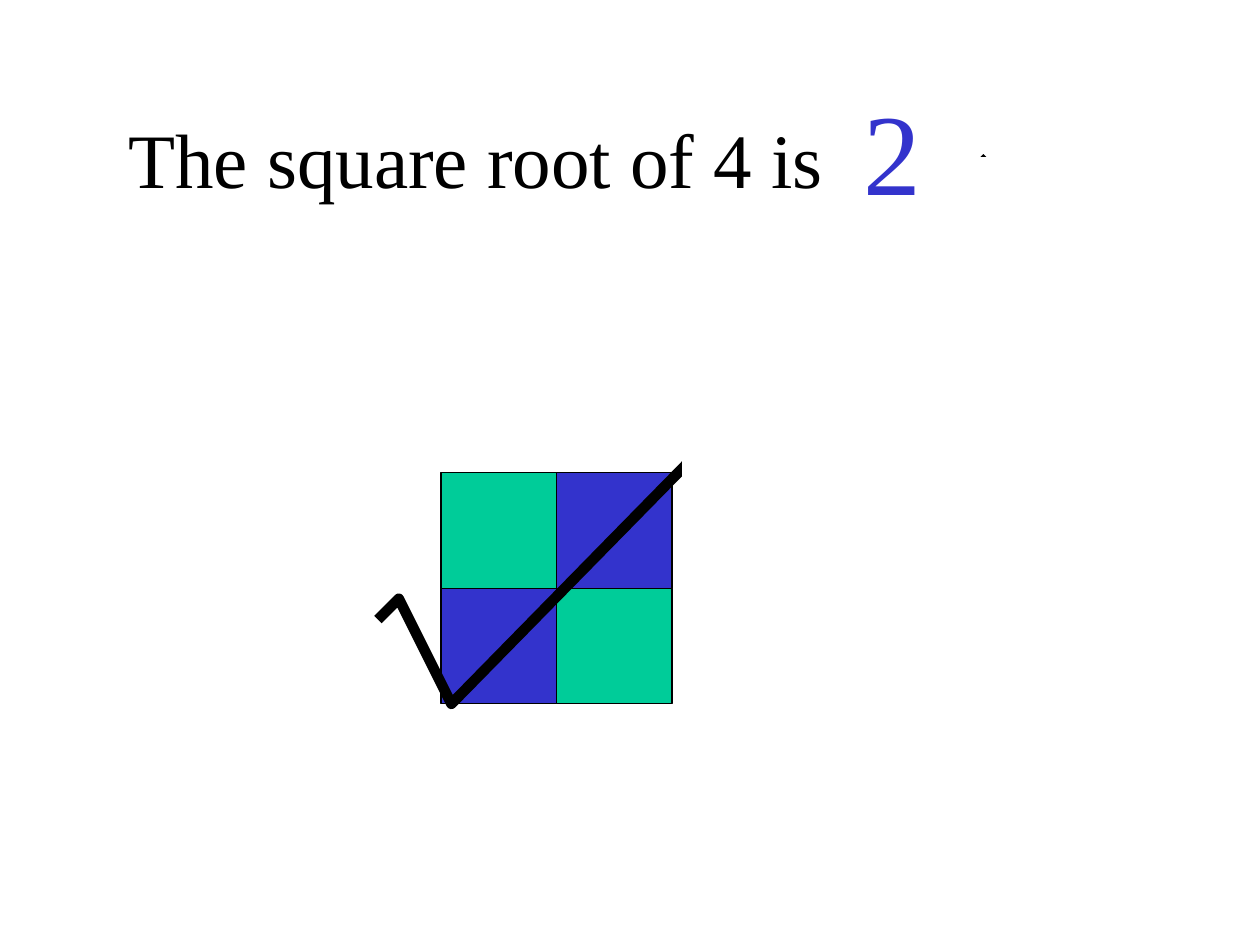
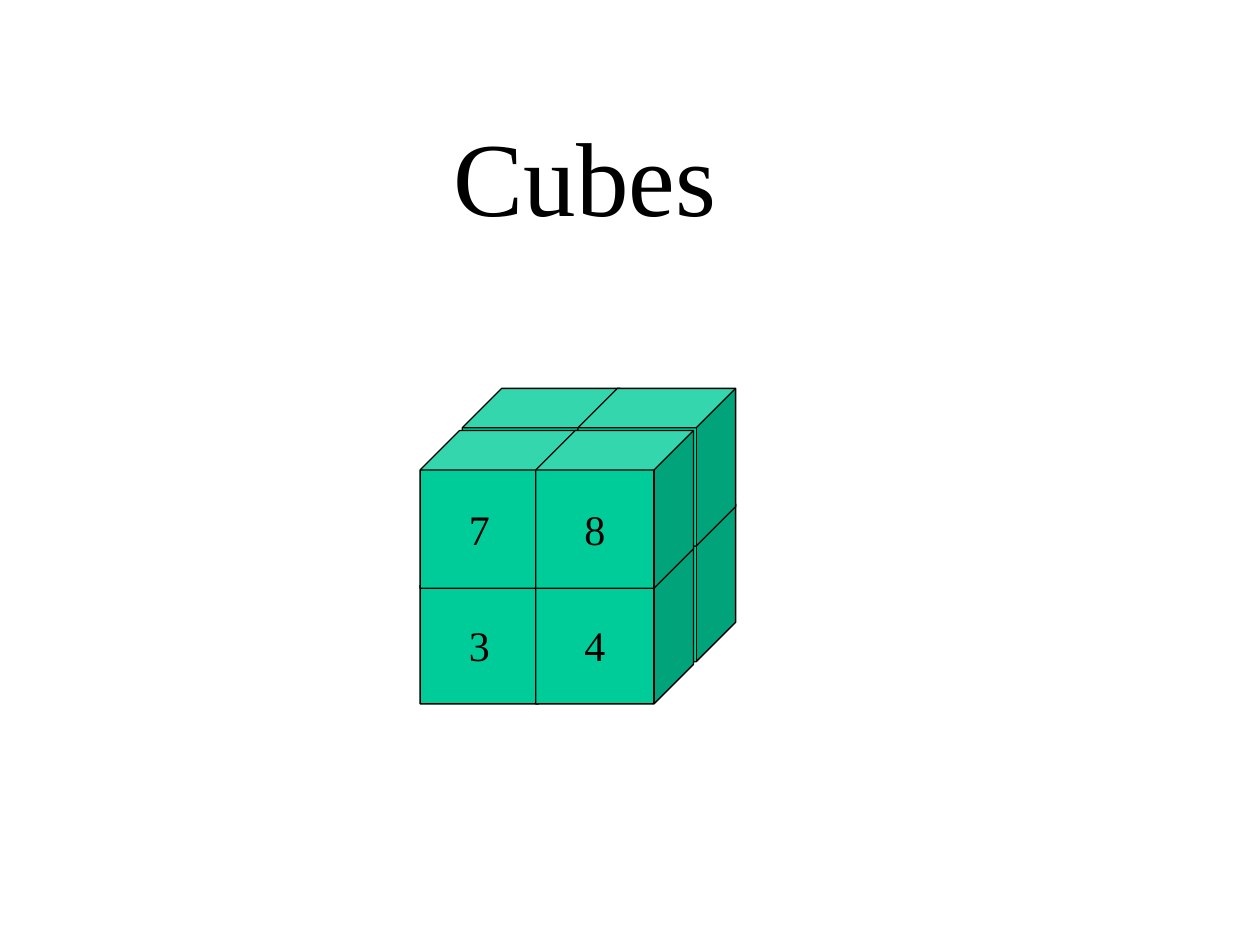
from itertools import product

from pptx import Presentation
from pptx.dml.color import RGBColor
from pptx.enum.shapes import MSO_SHAPE
from pptx.enum.text import MSO_ANCHOR, MSO_AUTO_SIZE, PP_ALIGN
from pptx.util import Cm, Pt

COLORS = {"black": "000000", "white": "FFFFFF", "green": "00CC99", "blue": "3333CC"}
FONT = "Times New Roman"
TITLE_ONLY = 5
UNIT = 2.33


def color(name):
    """Return the named palette colour."""
    return RGBColor.from_string(COLORS[name])


def style_font(paragraph, size, name="black"):
    """Set the shared typeface with a size and colour."""
    paragraph.font.name = FONT
    paragraph.font.size = Pt(size)
    paragraph.font.color.rgb = color(name)


def write_heading(shape, text, size, name="black"):
    """Fill a heading shape with left-aligned text on its lower edge."""
    frame = shape.text_frame
    frame.text = text
    frame.word_wrap = True
    frame.auto_size = MSO_AUTO_SIZE.NONE
    frame.vertical_anchor = MSO_ANCHOR.BOTTOM
    paragraph = frame.paragraphs[0]
    paragraph.alignment = PP_ALIGN.LEFT
    style_font(paragraph, size, name)


def add_titled_slide(presentation, text, size, left, top, width, height):
    """Add a slide whose title sits in the given box."""
    slide = presentation.slides.add_slide(presentation.slide_layouts[TITLE_ONLY])
    title = slide.shapes.title
    title.left, title.top, title.width, title.height = map(Cm, (left, top, width, height))
    write_heading(title, text, size)
    return slide


def bring_to_front(shape):
    """Move a shape above everything drawn so far on its slide."""
    shape.element.getparent().append(shape.element)


def add_block(shapes, kind, left, top, width, height, fill, line="black"):
    """Add a filled preset shape with a thin outline."""
    shape = shapes.add_shape(kind, Cm(left), Cm(top), Cm(width), Cm(height))
    shape.shadow.inherit = False
    shape.fill.solid()
    shape.fill.fore_color.rgb = color(fill)
    shape.line.color.rgb = color(line)
    shape.line.width = Pt(0.75)
    return shape


def add_checkered_square(slide, left, top):
    """Group four unit squares in alternating colours."""
    group = slide.shapes.add_group_shape()
    for row, column in product(range(2), repeat=2):
        fill = "green" if row == column else "blue"
        add_block(group.shapes, MSO_SHAPE.RECTANGLE, left + column * UNIT,
                  top + row * UNIT, UNIT, UNIT, fill)


def add_radical(slide, left, top):
    """Draw a radical sign and trim its long stroke with a white panel."""
    points = [(0, 9.31), (0.42, 8.89), (1.48, 11.01), (12.28, 0)]
    corners = [(Cm(left + x), Cm(top + y)) for x, y in points]
    builder = slide.shapes.build_freeform(*corners[0])
    builder.add_line_segments(corners[1:], close=False)
    radical = builder.convert_to_shape()
    radical.shadow.inherit = False
    radical.fill.background()
    radical.line.color.rgb = color("black")
    radical.line.width = Pt(6)
    add_block(slide.shapes, MSO_SHAPE.RECTANGLE, left + 6.14, top, 6.99, 6.56,
              "white", "white")


def add_cube_stack(slide, left, top):
    """Stack eight numbered cubes from the lower back to the upper front."""
    edge, depth = 3.18, 0.85
    positions = product(range(2), repeat=3)
    for number, (layer, row, column) in enumerate(positions, start=1):
        cube = add_block(slide.shapes, MSO_SHAPE.CUBE,
                         left + column * UNIT + (1 - row) * depth,
                         top + (1 - layer) * UNIT + row * depth,
                         edge, edge, "green")
        cube.adjustments[0] = 0.25
        frame = cube.text_frame
        frame.text = str(number)
        frame.word_wrap = False
        frame.vertical_anchor = MSO_ANCHOR.MIDDLE
        frame.paragraphs[0].alignment = PP_ALIGN.CENTER
        style_font(frame.paragraphs[0], 24)


def build_square_root_slide(presentation):
    """Build the slide on the square root of four."""
    slide = add_titled_slide(presentation, "The square root of 4 is", 44,
                             2.33, 2.1, 15.03, 2.13)
    add_checkered_square(slide, 8.89, 9.53)
    add_radical(slide, 7.62, 3.18)
    bring_to_front(slide.shapes.title)
    answer = slide.shapes.add_textbox(Cm(17.15), Cm(1.48), Cm(4.02), Cm(3.05))
    write_heading(answer, "2", 66, "blue")


def build_cubes_slide(presentation):
    """Build the slide with the stack of cubes."""
    slide = add_titled_slide(presentation, "Cubes", 60, 8.89, 2.12, 8.68, 2.79)
    add_cube_stack(slide, 8.47, 7.83)


def main():
    """Create and save the presentation."""
    presentation = Presentation()
    presentation.slide_width, presentation.slide_height = Cm(25.4), Cm(19.05)
    build_square_root_slide(presentation)
    build_cubes_slide(presentation)
    presentation.save("out.pptx")


if __name__ == "__main__":
    main()
